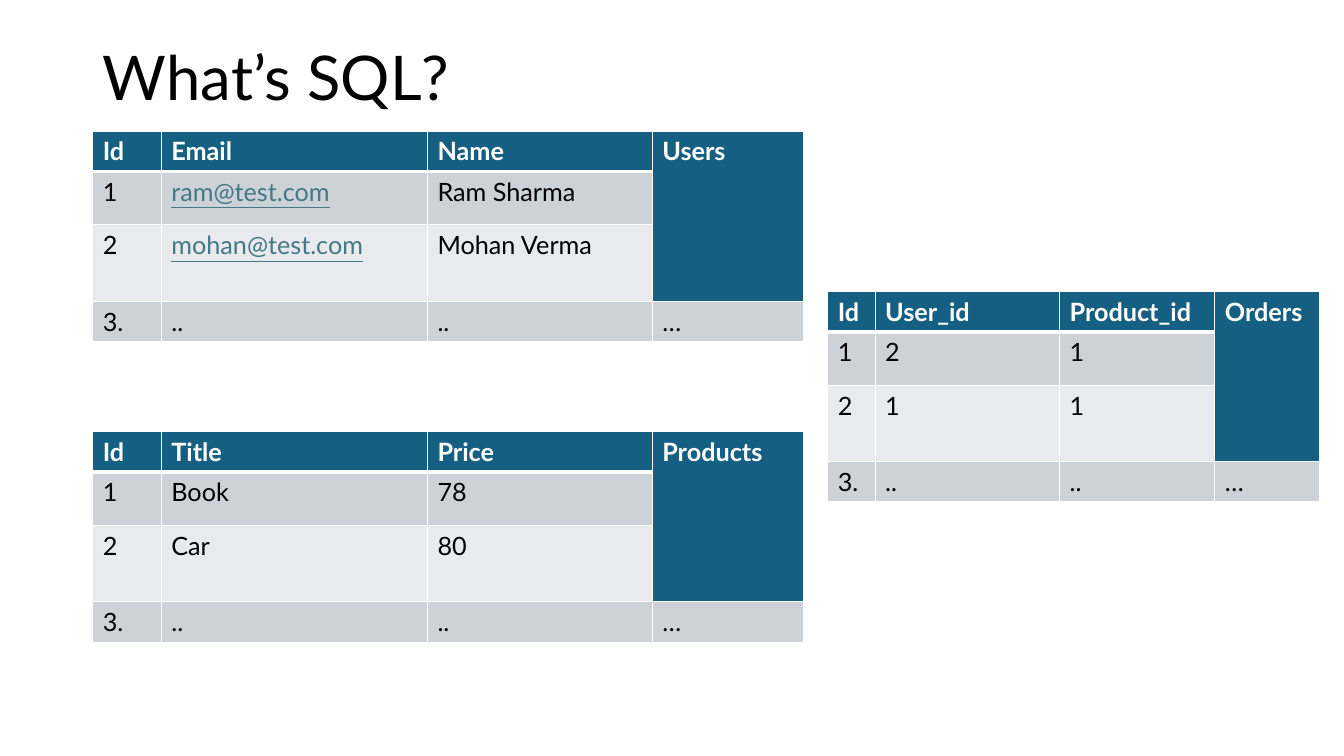
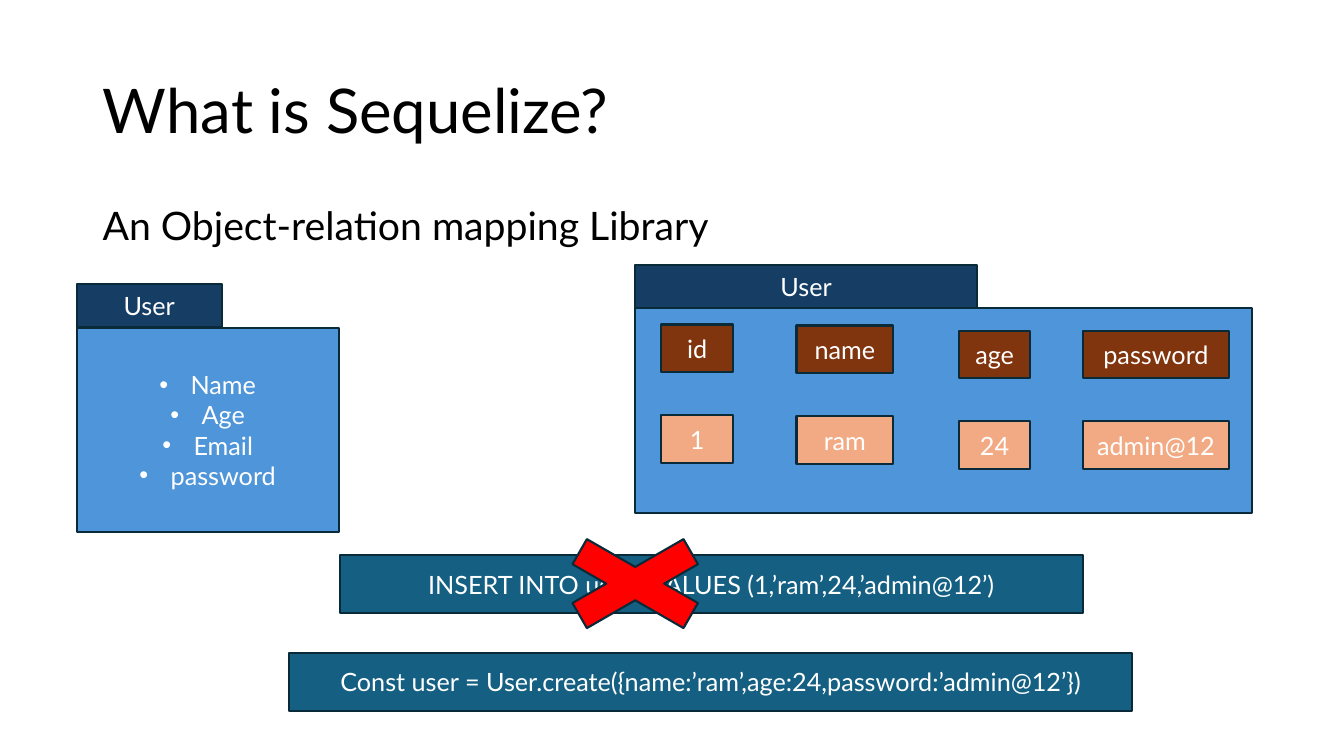
from lxml import etree
from pptx import Presentation
from pptx.dml.color import RGBColor as Rgb
from pptx.enum.shapes import MSO_SHAPE as Shape
from pptx.enum.text import MSO_ANCHOR as Anchor, PP_ALIGN as Align
from pptx.oxml.ns import qn
from pptx.util import Inches, Pt

FONT = "Lato"
HUE = {
    "ink": "000000", "paper": "FFFFFF", "teal": "156082", "band": "CCD2D8",
    "pale": "E8EAED", "link": "467886", "navy": "163E64", "sky": "4E95D9",
    "edge": "092A39", "rust": "80350E", "peach": "F2AA84", "red": "FF0000",
}
ROWS = (0.4, 0.53, 0.76, 0.4)


def tint(name):
    """Return the named colour."""
    return Rgb.from_string(HUE[name])


def style(frame, size, hue, bold=False, align=Align.LEFT):
    """Format every paragraph and run of a text frame."""
    for para in frame.paragraphs:
        para.alignment = align
        for run in para.runs:
            font = run.font
            font.name, font.size, font.bold = FONT, Pt(size), bold
            font.color.rgb = tint(hue)


def title(slide, text, box):
    """Place and format the slide title."""
    head = slide.shapes.title
    head.left, head.top, head.width, head.height = map(Inches, box)
    frame = head.text_frame
    frame.text = text
    frame.vertical_anchor = Anchor.MIDDLE
    frame.paragraphs[0].line_spacing = 0.9
    style(frame, 44, "ink")


def rule(cell, sides):
    """Draw white borders given as pairs of side and width in points."""
    props = cell._tc.get_or_add_tcPr()
    for side, width in sides:
        line = etree.SubElement(props, qn("a:ln" + side), w=str(Pt(width)))
        fill = etree.SubElement(line, qn("a:solidFill"))
        etree.SubElement(fill, qn("a:srgbClr"), val=HUE["paper"])


def grid(slide, left, top, cols, name, data):
    """Build a database table whose name stands in a merged last column."""
    heads, *body = data
    cells = [(*heads, name), *((*row, "") for row in body), ("3.", "..", "..", "…")]
    box = map(Inches, (left, top, sum(cols), sum(ROWS)))
    table = slide.shapes.add_table(len(ROWS), len(cols), *box).table
    table.first_row = table.horz_banding = False
    for col, width in zip(table.columns, cols):
        col.width = Inches(width)
    for row, height in zip(table.rows, ROWS):
        row.height = Inches(height)
    last = len(cols) - 1
    for r, row in enumerate(cells):
        for c, text in enumerate(row):
            cell = table.cell(r, c)
            dark = r == 0 or (c == last and r < 3)
            sides = [("L", 1), ("R", 1)]
            if c < last:
                sides += [("T", 3 if r == 1 else 1), ("B", 3 if r == 0 else 1)]
            rule(cell, sides)
            cell.fill.solid()
            cell.fill.fore_color.rgb = tint("teal" if dark else "band" if r % 2 else "pale")
            cell.text_frame.text = text
            mail = "@" in text
            style(cell.text_frame, 18, "paper" if dark else "link" if mail else "ink", dark)
            if mail:
                cell.text_frame.paragraphs[0].runs[0].font.underline = True
    table.cell(0, last).merge(table.cell(2, last))


def block(shapes, box, fill, text="", kind=Shape.RECTANGLE):
    """Add an outlined shape with centred white text."""
    shape = shapes.add_shape(kind, *map(Inches, box))
    shape.shadow.inherit = False
    shape.fill.solid()
    shape.fill.fore_color.rgb = tint(fill)
    shape.line.color.rgb = tint("edge")
    shape.line.width = Pt(1.5)
    frame = shape.text_frame
    frame.word_wrap = True
    frame.vertical_anchor = Anchor.MIDDLE
    frame.text = text
    style(frame, 18, "paper", align=Align.CENTER)
    return shape


def panel(slide, left, top, width, tab, text=""):
    """Group a named tab with the body below it."""
    shapes = slide.shapes.add_group_shape().shapes
    block(shapes, (left, top, tab, 0.43), "navy", "User")
    return block(shapes, (left, top + 0.43, width, 2.03), "sky", text)


def model(slide, left, top):
    """Show the class with its bulleted fields."""
    body = panel(slide, left, top, 2.6, 1.44, "Name\nAge\nEmail\npassword")
    for para in body.text_frame.paragraphs:
        props = para._p.get_or_add_pPr()
        props.set("marL", str(Inches(0.31)))
        props.set("indent", str(-Inches(0.31)))
        etree.SubElement(props, qn("a:buFont"), typeface="Arial")
        etree.SubElement(props, qn("a:buChar"), char="•")


def record(slide, left, top):
    """Show the stored table with one row of values."""
    panel(slide, left, top, 6.12, 3.39)
    fields = (
        (0.26, 0.59, 0.71, "id", "1"),
        (1.6, 0.6, 0.96, "name", "ram"),
        (3.21, 0.65, 0.71, "age", "24"),
        (4.44, 0.65, 1.45, "password", "admin@12"),
    )
    for x, y, width, *pair in fields:
        for i, (fill, text) in enumerate(zip(("rust", "peach"), pair)):
            block(slide.shapes, (left + x, top + y + 0.9 * i, width, 0.47), fill, text)


def lead(slide, text, box):
    """Place the line of text below the title."""
    frame = slide.shapes.add_textbox(*map(Inches, box)).text_frame
    frame.word_wrap = True
    frame.text = text
    frame.paragraphs[0].line_spacing = 0.9
    style(frame, 28, "ink")


def code(slide, left, top):
    """Show the crossed-out query above the call that replaces it."""
    shapes = slide.shapes
    block(shapes, (left + 0.5, top, 7.37, 0.57), "teal",
          "INSERT INTO users VALUES (1,’ram’,24,’admin@12’)")
    block(shapes, (left, top + 0.97, 8.36, 0.57), "teal",
          "Const user = User.create({name:’ram’,age:24,password:’admin@12’})")
    block(shapes, (left + 2.37, top - 0.33, 2.12, 1.22), "red", kind=Shape.MATH_MULTIPLY)


def tables(slide):
    """Fill the slide on related tables."""
    title(slide, "What’s SQL?", (0.92, 0.4, 9.37, 0.79))
    wide = (0.68, 2.64, 2.23, 1.5)
    slim = (0.47, 1.83, 1.54, 1.04)
    grid(slide, 0.92, 1.3, wide, "Users", (
        ("Id", "Email", "Name"),
        ("1", "ram@test.com", "Ram Sharma"),
        ("2", "mohan@test.com", "Mohan Verma")))
    grid(slide, 0.92, 4.28, wide, "Products", (
        ("Id", "Title", "Price"), ("1", "Book", "78"), ("2", "Car", "80")))
    grid(slide, 8.21, 2.89, slim, "Orders", (
        ("Id", "User_id", "Product_id"), ("1", "2", "1"), ("2", "1", "1")))


def mapping(slide):
    """Fill the slide on object mapping."""
    title(slide, "What is Sequelize?", (0.92, 0.4, 11.5, 1.45))
    lead(slide, "An Object-relation mapping Library", (0.92, 2, 11.5, 0.64))
    model(slide, 0.76, 2.82)
    record(slide, 6.3, 2.63)
    code(slide, 2.87, 5.51)


def main():
    """Build and save the deck."""
    deck = Presentation()
    deck.slide_width, deck.slide_height = Inches(13.33), Inches(7.5)
    for fill in (tables, mapping):
        fill(deck.slides.add_slide(deck.slide_layouts[5]))
    deck.save("out.pptx")


if __name__ == "__main__":
    main()
